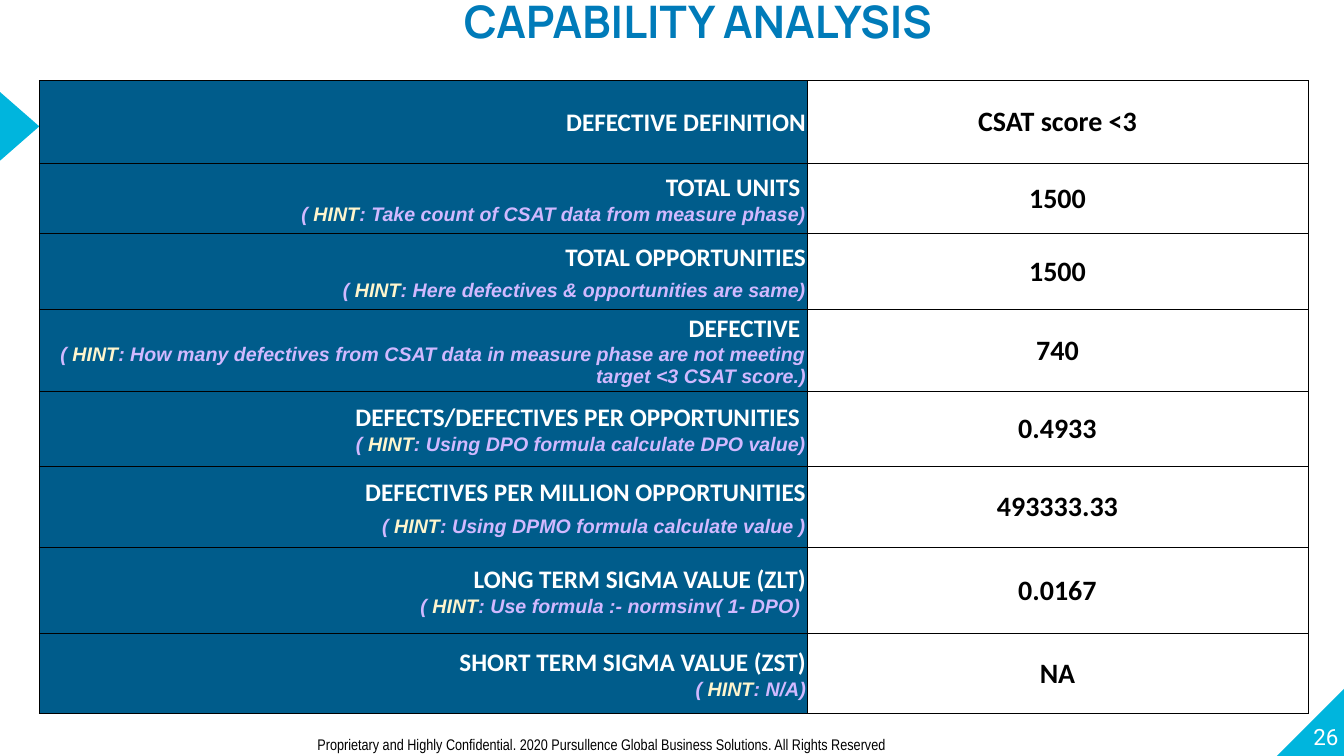
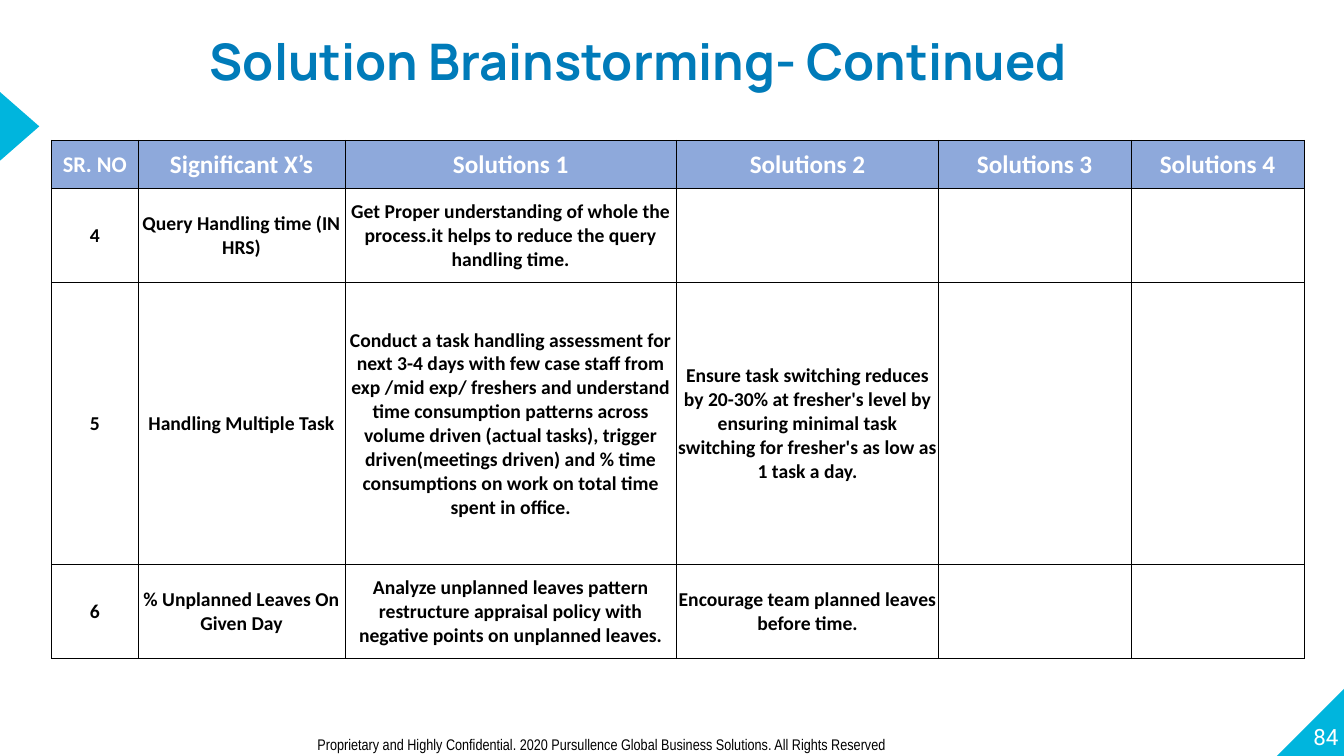
"""Build two project slides: a capability analysis and a solution table."""
from lxml import etree
from pptx import Presentation
from pptx import util as u
from pptx.dml import color
from pptx.enum import shapes, text
from pptx.oxml import ns

BLUE, CYAN, NAVY, PERIWINKLE = "007BB9", "00B5DD", "005C8B", "8EA9DB"
LILAC, CREAM, WHITE, BLACK = "D1B9FF", "FEF5CD", "FFFFFF", "000000"
CENTER, RIGHT = text.PP_ALIGN.CENTER, text.PP_ALIGN.RIGHT
CELL_INSET = 0.03
FOOTER = ("Proprietary and Highly Confidential. 2020 Pursullence Global "
          "Business Solutions. All Rights Reserved")

CAPABILITY_ROWS = [
    (2.08, "DEFECTIVE DEFINITION", "", 0, "CSAT score <3"),
    (1.78, "TOTAL UNITS ", ": Take count of CSAT data from measure phase)", 0, "1500"),
    (1.9, "TOTAL OPPORTUNITIES", ": Here defectives & opportunities are same)", 5, "1500"),
    (2.06, "DEFECTIVE ", ": How many defectives from CSAT data in measure phase "
     "are not meeting target <3 CSAT score.)", 0, "740"),
    (1.9, "DEFECTS/DEFECTIVES PER OPPORTUNITIES ",
     ": Using DPO formula calculate DPO value)", 0, "0.4933"),
    (2.04, "DEFECTIVES PER MILLION OPPORTUNITIES",
     ": Using DPMO formula calculate value )", 5, "493333.33"),
    (2.18, "LONG TERM SIGMA VALUE (ZLT)", ": Use formula :- normsinv( 1- DPO) ", 0, "0.0167"),
    (2.01, "SHORT TERM SIGMA VALUE (ZST)", ": N/A)", 0, "NA"),
]
SOLUTION_HEADERS = ["SR. NO", "Significant X’s", "Solutions 1", "Solutions 2",
                    "Solutions 3", "Solutions 4"]
SOLUTION_ROWS = [
    ["4", "Query Handling time (IN HRS)",
     "Get Proper understanding of whole the process.it helps to reduce the query "
     "handling time."],
    ["5", "Handling Multiple Task",
     "Conduct a task handling assessment for next 3-4 days with few case staff from "
     "exp /mid exp/ freshers and understand time consumption patterns across volume "
     "driven (actual tasks), trigger driven(meetings driven) and % time consumptions "
     "on work on total time spent in office.",
     "Ensure task switching reduces by 20-30% at fresher's level by ensuring minimal "
     "task switching for fresher's as low as 1 task a day."],
    ["6", "% Unplanned Leaves On Given Day",
     "Analyze unplanned leaves pattern restructure appraisal policy with negative "
     "points on unplanned leaves.",
     "Encourage team planned leaves before time."],
]


def rgb(value):
    """Turn a hex string into a colour."""
    return color.RGBColor.from_string(value)


def box(*lengths):
    """Turn left, top, width and height in centimetres into lengths."""
    return [u.Cm(length) for length in lengths]


def add_run(paragraph, words, size, font, colour, bold=False, italic=False):
    """Append one formatted run."""
    run = paragraph.add_run()
    run.text = words
    run.font.size, run.font.name = u.Pt(size), font
    run.font.bold, run.font.italic = bold, italic
    run.font.color.rgb = rgb(colour)


def clear_insets(frame):
    """Wrap a text frame and remove its margins."""
    frame.word_wrap = True
    frame.margin_left = frame.margin_right = frame.margin_top = frame.margin_bottom = 0


def set_title(slide, words, place, size, line_spacing, anchor):
    """Move and fill the title placeholder."""
    title = slide.shapes.title
    title.left, title.top, title.width, title.height = box(*place)
    frame = title.text_frame
    clear_insets(frame)
    frame.auto_size = text.MSO_AUTO_SIZE.NONE
    frame.vertical_anchor = anchor
    paragraph = frame.paragraphs[0]
    paragraph.alignment, paragraph.line_spacing = CENTER, line_spacing
    add_run(paragraph, words, size, "Manrope", BLUE, bold=True)


def add_triangle(slide, kind, place, rotation):
    """Add a plain cyan triangle."""
    shape = slide.shapes.add_shape(kind, *box(*place))
    shape.rotation = rotation
    shape.shadow.inherit = False
    shape.fill.solid()
    shape.fill.fore_color.rgb = rgb(CYAN)
    shape.line.fill.background()
    return shape


def add_footer(slide):
    """Add the confidentiality line."""
    footer = slide.shapes.add_textbox(*box(7.75, 18.39, 21.62, 0.74))
    footer.text_frame.word_wrap = True
    add_run(footer.text_frame.paragraphs[0], FOOTER, 11, "Arial Narrow", BLACK)
    return footer


def decorate_layout(layout, slide):
    """Draw the shared corner, pointer and footer, then move them to the layout."""
    kinds = shapes.MSO_SHAPE
    for shape in (
        add_triangle(slide, kinds.RIGHT_TRIANGLE, (32.17, 17.33, 1.73, 1.73), 270),
        add_triangle(slide, kinds.ISOSCELES_TRIANGLE, (-0.37, 2.69, 1.73, 0.99), 90),
        add_footer(slide),
    ):
        layout.shapes.element.append(shape.element)


def add_page_number(slide, number):
    """Add the page number over the corner triangle."""
    frame = slide.shapes.add_textbox(*box(32.03, 17.17, 1.7, 1.73)).text_frame
    clear_insets(frame)
    frame.vertical_anchor = text.MSO_ANCHOR.BOTTOM
    frame.paragraphs[0].alignment = RIGHT
    add_run(frame.paragraphs[0], number, 16, "Roboto", WHITE)


def format_cell(cell, fill):
    """Give a cell thin black borders, narrow margins and its fill."""
    properties = cell._tc.get_or_add_tcPr()
    for side in ("a:lnL", "a:lnR", "a:lnT", "a:lnB"):
        line = etree.SubElement(properties, ns.qn(side), w=str(u.Pt(0.5)))
        solid = etree.SubElement(line, ns.qn("a:solidFill"))
        etree.SubElement(solid, ns.qn("a:srgbClr"), val=BLACK)
    cell.vertical_anchor = text.MSO_ANCHOR.MIDDLE
    cell.margin_left = cell.margin_right = cell.margin_top = u.Cm(CELL_INSET)
    cell.margin_bottom = 0
    if fill:
        cell.fill.solid()
        cell.fill.fore_color.rgb = rgb(fill)
    else:
        cell.fill.background()


def add_table(slide, left, top, widths, heights, fill_at):
    """Add a bordered table whose fills come from a rule of row and column."""
    frame = slide.shapes.add_table(len(heights), len(widths),
                                   *box(left, top, sum(widths), sum(heights)))
    table = frame.table
    table.first_row = table.horz_banding = False
    for column, width in zip(table.columns, widths):
        column.width = u.Cm(width)
    for row, height in zip(table.rows, heights):
        row.height = u.Cm(height)
    for row in range(len(heights)):
        for column in range(len(widths)):
            format_cell(table.cell(row, column), fill_at(row, column))
    return table


def write_cell(cell, words, size, colour, alignment=CENTER):
    """Write one bold paragraph in a cell."""
    paragraph = cell.text_frame.paragraphs[0]
    paragraph.alignment = alignment
    add_run(paragraph, words, size, "Calibri", colour, bold=True)


def add_hint(cell, words, space_before):
    """Add the italic hint below a row label."""
    paragraph = cell.text_frame.add_paragraph()
    paragraph.alignment = RIGHT
    paragraph.space_before = u.Pt(space_before)
    for part, colour in (("( ", LILAC), ("HINT", CREAM), (words, LILAC)):
        add_run(paragraph, part, 14, "Arial", colour, bold=True, italic=True)


def build_capability(slide):
    """Fill the capability analysis slide."""
    set_title(slide, "CAPABILITY ANALYSIS", (10.24, 0.1, 14.71, 1.75), 32, 0.8,
              text.MSO_ANCHOR.TOP)
    table = add_table(slide, 0.99, 2.03, [19.35, 12.62],
                      [row[0] for row in CAPABILITY_ROWS],
                      lambda row, column: NAVY if column == 0 else None)
    for index, (_, label, hint, space_before, value) in enumerate(CAPABILITY_ROWS):
        write_cell(table.cell(index, 0), label, 18, WHITE, RIGHT)
        if hint:
            add_hint(table.cell(index, 0), hint, space_before)
        write_cell(table.cell(index, 1), value, 20, BLACK)
    add_page_number(slide, "26")


def build_solutions(slide):
    """Fill the solution brainstorming slide."""
    set_title(slide, "Solution Brainstorming- Continued", (2.82, 0, 26.54, 1.93), 36, 1.5,
              text.MSO_ANCHOR.TOP)
    table = add_table(slide, 1.3, 3.53, [2.18, 5.21, 8.36, 6.6, 4.85, 4.37],
                      [1.22, 2.36, 7.11, 2.36],
                      lambda row, column: PERIWINKLE if row == 0 else None)
    for column, header in enumerate(SOLUTION_HEADERS):
        write_cell(table.cell(0, column), header, 18 if column else 16, WHITE)
    for row, entries in enumerate(SOLUTION_ROWS, start=1):
        for column, words in enumerate(entries):
            write_cell(table.cell(row, column), words, 14, BLACK)
    add_page_number(slide, "84")


def main():
    """Build and save the presentation."""
    presentation = Presentation()
    presentation.slide_width, presentation.slide_height = u.Cm(33.87), u.Cm(19.05)
    layout = presentation.slide_layouts.get_by_name("Title Only")
    capability, solutions = (presentation.slides.add_slide(layout) for _ in range(2))
    decorate_layout(layout, capability)
    build_capability(capability)
    build_solutions(solutions)
    presentation.save("out.pptx")


if __name__ == "__main__":
    main()
